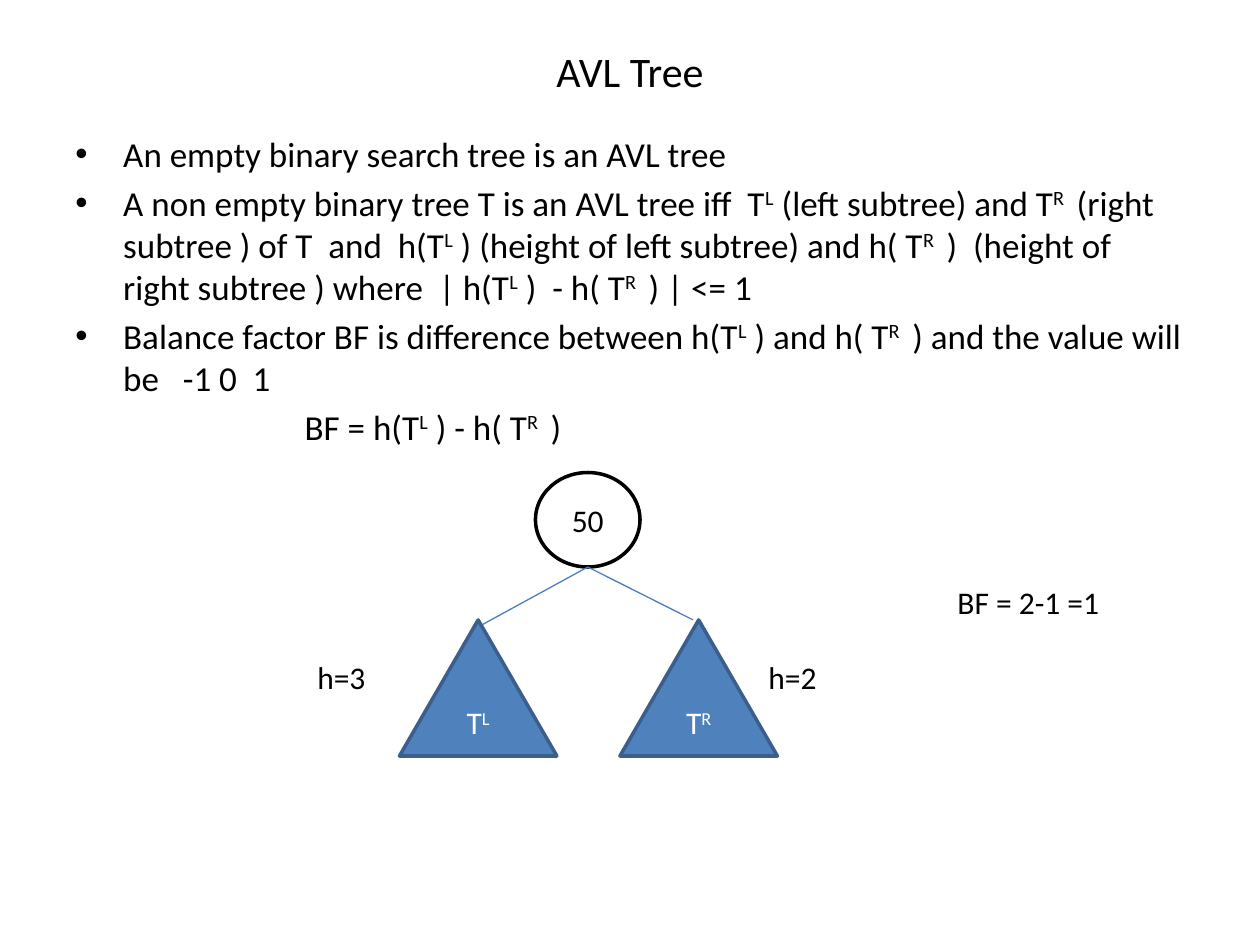
from dataclasses import dataclass

from lxml import etree
from pptx import Presentation
from pptx import util as u
from pptx.dml.color import RGBColor
from pptx.enum import shapes, text
from pptx.oxml.ns import qn

FONT = "Calibri"
BLACK = "000000"
WHITE = "FFFFFF"
BULLET_INDENT = 0.38


@dataclass
class Box:
    left: float
    top: float
    width: float
    height: float

    def lengths(self) -> list:
        return [u.Inches(v) for v in (self.left, self.top, self.width, self.height)]


@dataclass
class Node:
    kind: int
    box: Box
    label: str
    fill: str | None
    line: str
    color: str


@dataclass
class Label:
    box: Box
    words: str


@dataclass
class Edge:
    end_x: float
    end_y: float


@dataclass
class BodyLine:
    words: str
    bullet: bool = True
    indent: float = BULLET_INDENT


TITLE_BOX = Box(0.5, 0.3, 9, 0.53)
BODY_BOX = Box(0.5, 1, 9, 5.7)
ROOT_BOX = Box(4.25, 3.75, 0.83, 0.75)
BODY_LINES = [
    BodyLine("An empty binary search tree is an AVL tree"),
    BodyLine(
        "A non empty binary tree T is an AVL tree iff  T^L^ (left subtree) and T^R ^ "
        "(right subtree ) of T  and  h(T^L^ ) (height of left subtree) and h( T^R ^ )  "
        "(height of right subtree ) where  | h(T^L^ )  - h( T^R ^ ) | <= 1"
    ),
    BodyLine(
        "Balance factor BF is difference between h(T^L^ ) and h( T^R ^ ) "
        "and the value will be   -1 0  1"
    ),
    BodyLine("BF = h(T^L^ ) - h( T^R ^ )", bullet=False, indent=1.82),
]
EDGES = [Edge(3.75, 5), Edge(5.5, 4.92)]
SUBTREES = [
    Node(shapes.MSO_SHAPE.ISOSCELES_TRIANGLE, Box(left, 4.92, 1.25, 1.08),
         label, "4F81BD", "3A5F8C", WHITE)
    for left, label in ((3.17, "T^L^"), (4.92, "T^R^"))
]
ROOT = Node(shapes.MSO_SHAPE.OVAL, ROOT_BOX, "50", None, BLACK, BLACK)
LABELS = [
    Label(Box(2.42, 5.17, 1, 0.4), "h=3"),
    Label(Box(6, 5.17, 1, 0.4), "h=2"),
    Label(Box(7.5, 4.58, 2.08, 0.4), "BF = 2-1 =1"),
]


def rgb(value: str) -> RGBColor:
    return RGBColor.from_string(value)


def write(paragraph, words: str, *, size: float = 18, color: str = BLACK,
          align=text.PP_ALIGN.LEFT) -> None:
    paragraph.alignment = align
    for index, part in enumerate(words.split("^")):
        if not part:
            continue
        run = paragraph.add_run()
        run.text = part
        run.font.size = u.Pt(size)
        run.font.name = FONT
        run.font.color.rgb = rgb(color)
        if index % 2:
            run.font._element.set("baseline", "30000")


def add_frame(slide, box: Box, anchor=text.MSO_ANCHOR.TOP):
    frame = slide.shapes.add_textbox(*box.lengths()).text_frame
    frame.word_wrap = True
    frame.vertical_anchor = anchor
    return frame


def add_body(slide, lines: list[BodyLine]) -> None:
    frame = add_frame(slide, BODY_BOX)
    for index, line in enumerate(lines):
        paragraph = frame.add_paragraph() if index else frame.paragraphs[0]
        paragraph.space_before = u.Pt(4)
        write(paragraph, line.words, size=20)
        properties = paragraph._p.get_or_add_pPr()
        properties.set("marL", str(u.Inches(line.indent)))
        if line.bullet:
            properties.set("indent", str(-u.Inches(BULLET_INDENT)))
            etree.SubElement(properties, qn("a:buFont"), typeface="Arial")
            etree.SubElement(properties, qn("a:buChar"), char="•")


def add_node(slide, node: Node) -> None:
    shape = slide.shapes.add_shape(node.kind, *node.box.lengths())
    shape.shadow.inherit = False
    if node.fill:
        shape.fill.solid()
        shape.fill.fore_color.rgb = rgb(node.fill)
    else:
        shape.fill.background()
    shape.line.color.rgb = rgb(node.line)
    shape.line.width = u.Pt(2)
    frame = shape.text_frame
    frame.vertical_anchor = text.MSO_ANCHOR.MIDDLE
    write(frame.paragraphs[0], node.label, color=node.color, align=text.PP_ALIGN.CENTER)


def add_edge(slide, edge: Edge) -> None:
    start_x = ROOT_BOX.left + ROOT_BOX.width / 2
    start_y = ROOT_BOX.top + ROOT_BOX.height
    connector = slide.shapes.add_connector(
        shapes.MSO_CONNECTOR.STRAIGHT, u.Inches(start_x), u.Inches(start_y),
        u.Inches(edge.end_x), u.Inches(edge.end_y))
    connector.line.color.rgb = rgb("4B7EBC")
    connector.line.width = u.Pt(0.75)
    etree.SubElement(connector._element.spPr, qn("a:effectLst"))


def main() -> None:
    presentation = Presentation()
    presentation.slide_width = u.Inches(10)
    presentation.slide_height = u.Inches(7.5)
    slide = presentation.slides.add_slide(presentation.slide_layouts[6])
    title = add_frame(slide, TITLE_BOX, text.MSO_ANCHOR.MIDDLE)
    write(title.paragraphs[0], "AVL Tree", size=24, align=text.PP_ALIGN.CENTER)
    add_body(slide, BODY_LINES)
    add_node(slide, ROOT)
    for edge in EDGES:
        add_edge(slide, edge)
    for subtree in SUBTREES:
        add_node(slide, subtree)
    for label in LABELS:
        write(add_frame(slide, label.box).paragraphs[0], label.words)
    presentation.save("out.pptx")


if __name__ == "__main__":
    main()
